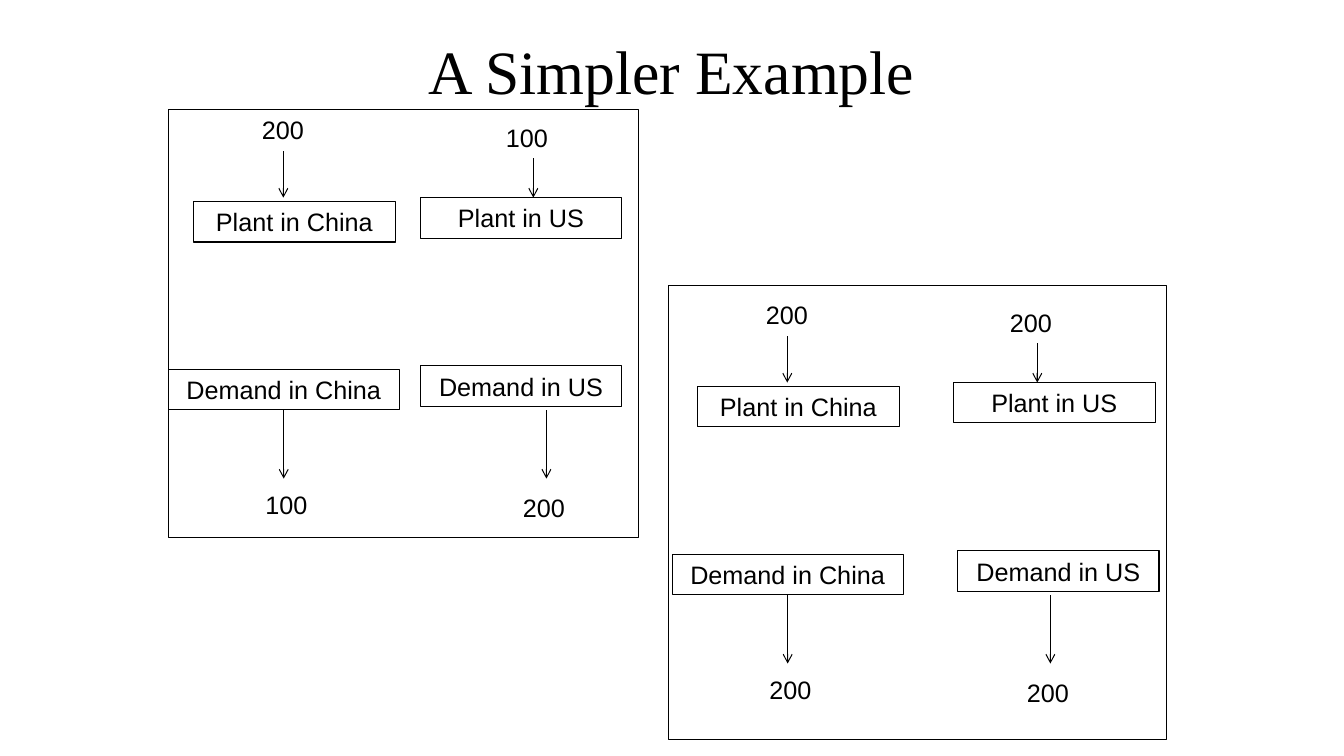
from dataclasses import dataclass

from lxml import etree
from pptx import Presentation
from pptx.dml.color import RGBColor
from pptx.enum.shapes import MSO_CONNECTOR as CONNECTOR, MSO_SHAPE as SHAPE
from pptx.enum.text import MSO_ANCHOR as ANCHOR, PP_ALIGN as ALIGN
from pptx.oxml.ns import qn
from pptx.util import Cm, Pt


@dataclass(frozen=True)
class Theme:
    ink: RGBColor = RGBColor(0, 0, 0)
    title_font: str = "Times New Roman"
    body_font: str = "Arial"
    title_size: Pt = Pt(44)
    body_size: Pt = Pt(18)
    line_width: Pt = Pt(0.75)


theme = Theme()
BOX_HEIGHT = 1.02
LABEL_WIDTH = 1.91


def write(shape, text, font_name, size, align):
    frame = shape.text_frame
    frame.word_wrap = True
    frame.vertical_anchor = ANCHOR.MIDDLE
    paragraph = frame.paragraphs[0]
    paragraph.alignment = align
    run = paragraph.add_run()
    run.text = text
    run.font.name = font_name
    run.font.size = size
    run.font.color.rgb = theme.ink


def add_outline(shapes, left, top, width, height):
    """Add an unfilled rectangle with a thin line."""
    rectangle = shapes.add_shape(SHAPE.RECTANGLE, Cm(left), Cm(top), Cm(width), Cm(height))
    rectangle.shadow.inherit = False
    rectangle.fill.background()
    rectangle.line.color.rgb = theme.ink
    rectangle.line.width = theme.line_width
    return rectangle


presentation = Presentation()
presentation.slide_width = Cm(33.87)
presentation.slide_height = Cm(19.05)
slide = presentation.slides.add_slide(presentation.slide_layouts[6])

title = slide.shapes.add_textbox(Cm(5.5), Cm(0.76), Cm(22.86), Cm(1.98))
write(title, "A Simpler Example", theme.title_font, theme.title_size, ALIGN.CENTER)

# Each network: origin, left of the two US boxes, then the amounts
# supplied to China and US and demanded in China and US
networks = [
    (4.24, 2.75, 6.35, 6.35, ("200", "100", "100", "200")),
    (16.94, 7.41, 7.09, 7.19, ("200", "200", "200", "200")),
]
# Offsets from the network's origin
label_places = [(2.11, 0), (8.26, 0.21), (2.2, 9.45), (8.69, 9.53)]
arrows = [
    (2.9, 1.06, 2.23, None),
    (9.2, 1.24, 2.23, None),
    (2.9, 7.58, 9.31, "Demand in China"),
    (9.53, 7.59, 9.31, None),
]

for left, top, plant_us_left, demand_us_left, amounts in networks:
    shapes = slide.shapes.add_group_shape().shapes

    boxes = {}
    for name, x, y, width in [
        ("Plant in China", 0.64, 2.33, 5.08),
        ("Demand in China", 0, 6.56, 5.82),
        ("Plant in US", plant_us_left, 2.23, 5.08),
        ("Demand in US", demand_us_left, 6.47, 5.08),
    ]:
        boxes[name] = add_outline(shapes, left + x, top + y, width, BOX_HEIGHT)
        write(boxes[name], name, theme.body_font, theme.body_size, ALIGN.CENTER)

    for amount, (x, y) in zip(amounts, label_places):
        label = shapes.add_textbox(Cm(left + x), Cm(top + y), Cm(LABEL_WIDTH), Cm(BOX_HEIGHT))
        write(label, amount, theme.body_font, theme.body_size, ALIGN.LEFT)

    for x, start, end, source in arrows:
        arrow = shapes.add_connector(
            CONNECTOR.STRAIGHT, Cm(left + x), Cm(top + start), Cm(left + x), Cm(top + end)
        )
        if source:
            arrow.begin_connect(boxes[source], 2)
            arrow.end_x = arrow.begin_x
        arrow.line.color.rgb = theme.ink
        arrow.line.width = theme.line_width
        etree.SubElement(arrow.line._get_or_add_ln(), qn("a:tailEnd"), type="arrow")
        etree.SubElement(arrow._element.spPr, qn("a:effectLst"))

# Frames around the two networks
add_outline(slide.shapes, 4.24, 2.75, 11.86, 10.8)
add_outline(slide.shapes, 16.84, 7.2, 12.57, 11.43)

presentation.save("out.pptx")
